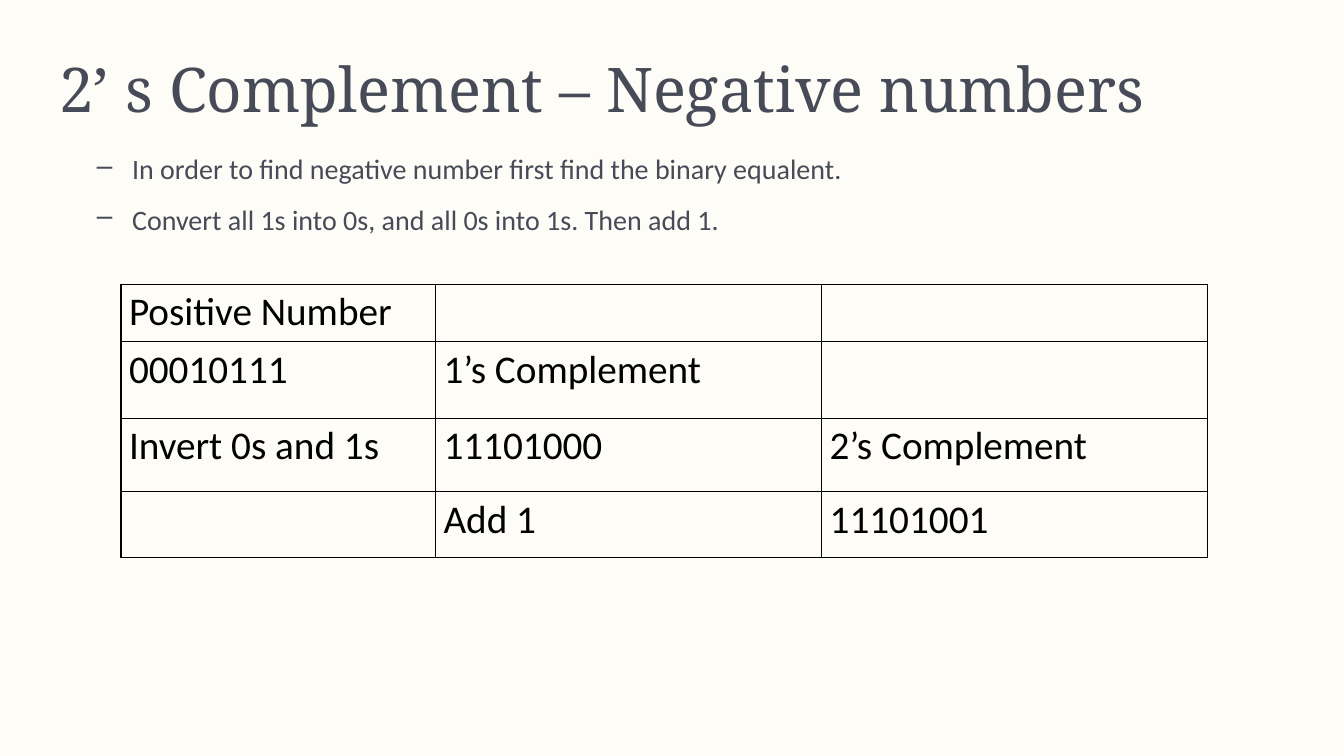
from lxml import etree
from pptx import Presentation
from pptx.dml.color import RGBColor
from pptx.oxml.ns import qn
from pptx.util import Inches, Pt

BACKGROUND, SLATE, BLACK = "FEFCF7", "474B57", "000000"
HEADING_FONT, BODY_FONT = "Noto Serif", "Calibri"

TITLE = "2’ s Complement – Negative numbers"
STEPS = [
    "In order to find negative number first find the binary equalent.",
    "Convert all 1s into 0s, and all 0s into 1s. Then add 1.",
]
COMPLEMENT_ROWS = [
    ["Positive Number", "", ""],
    ["00010111", "1’s Complement", ""],
    ["Invert 0s and 1s", "11101000", "2’s Complement"],
    ["", "Add 1", "11101001"],
]
COLUMN_WIDTHS = [3.12, 3.83, 3.83]
ROW_HEIGHTS = [0.57, 0.76, 0.73, 0.65]


def color(value):
    return RGBColor.from_string(value)


def format_paragraph(p, size, font, ink, spacing):
    p.line_spacing = spacing
    for r in p.runs:
        r.font.size = Pt(size)
        r.font.name = font
        r.font.color.rgb = color(ink)


def add_text(slide, box, lines, size, font, spacing, top_margin):
    sp = slide.shapes.add_textbox(*(Inches(v) for v in box))
    tf = sp.text_frame
    tf.word_wrap = True
    tf.margin_left = tf.margin_right = Inches(0.08)
    tf.margin_top = tf.margin_bottom = Inches(top_margin)
    tf.text = "\n".join(lines)
    for p in tf.paragraphs:
        format_paragraph(p, size, font, SLATE, spacing)
    return tf


def add_dash(p):
    p.space_before = Pt(9.3)
    pPr = p._p.get_or_add_pPr()
    pPr.set("marL", str(Inches(0.35)))
    pPr.set("indent", str(-Inches(0.35)))
    etree.SubElement(pPr, qn("a:buChar")).set("char", "–")


def add_borders(cell):
    tcPr = cell._tc.get_or_add_tcPr()
    for i, side in enumerate(("a:lnL", "a:lnR", "a:lnT", "a:lnB")):
        ln = etree.Element(qn(side), w=str(Pt(1)))
        fill = etree.SubElement(ln, qn("a:solidFill"))
        etree.SubElement(fill, qn("a:srgbClr")).set("val", BLACK)
        tcPr.insert(i, ln)


def fill_cell(cell, text):
    cell.fill.background()
    cell.margin_left = cell.margin_right = Inches(0.08)
    cell.margin_top, cell.margin_bottom = Inches(0.01), 0
    cell.text = text
    format_paragraph(cell.text_frame.paragraphs[0], 28, BODY_FONT, BLACK, 1.07)
    add_borders(cell)


def add_grid(slide, left, top, rows, widths, heights):
    frame = slide.shapes.add_table(
        len(rows), len(widths), Inches(left), Inches(top),
        Inches(sum(widths)), Inches(sum(heights)))
    table = frame.table
    table.first_row = table.horz_banding = False
    for column, width in zip(table.columns, widths):
        column.width = Inches(width)
    for row, height, texts in zip(table.rows, heights, rows):
        row.height = Inches(height)
        for cell, text in zip(row.cells, texts):
            fill_cell(cell, text)


def main():
    prs = Presentation()
    prs.slide_width, prs.slide_height = Inches(13.33), Inches(7.5)
    slide = prs.slides.add_slide(prs.slide_layouts[6])
    slide.background.fill.solid()
    slide.background.fill.fore_color.rgb = color(BACKGROUND)

    # Title
    add_text(slide, (0.51, 0.54, 11.46, 1.71), [TITLE],
             44, HEADING_FONT, 0.99, 0)

    # Conversion steps
    steps = add_text(slide, (0.88, 1.42, 12.09, 1.17), STEPS,
                     20, BODY_FONT, 1.11, 0.05)
    for p in steps.paragraphs:
        add_dash(p)

    # Worked example
    add_grid(slide, 1.2, 2.82, COMPLEMENT_ROWS, COLUMN_WIDTHS, ROW_HEIGHTS)

    prs.save("out.pptx")


main()
